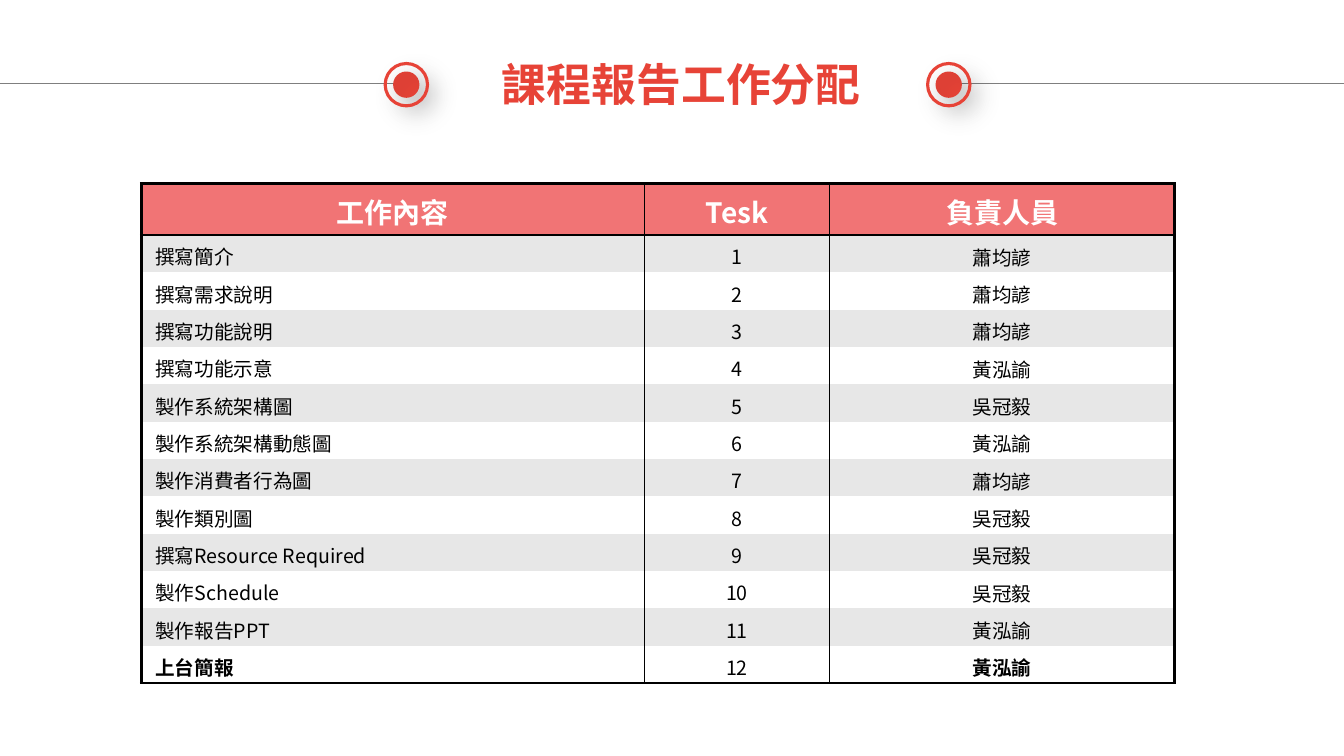
import pptx
import pptx.util
import pptx.oxml
import pptx.oxml.ns
import pptx.dml.color
import pptx.enum.text
import pptx.enum.shapes
import lxml.etree

Inches = pptx.util.Inches
Pt = pptx.util.Pt
qn = pptx.oxml.ns.qn
space = pptx.oxml.ns.nsdecls("a")
align = pptx.enum.text.PP_ALIGN
anchor = pptx.enum.text.MSO_ANCHOR
red = "E74337"
face = "Noto Sans CJK SC"


def color(code):
    return pptx.dml.color.RGBColor.from_string(code)


def write(frame, text, size, code, bold, side):
    para = frame.paragraphs[0]
    para.alignment = side
    run = para.add_run()
    run.text = text
    for key, value in {"size": Pt(size), "bold": bold, "name": face}.items():
        setattr(run.font, key, value)
    run.font.color.rgb = color(code)
    lxml.etree.SubElement(run.font._element, qn("a:ea")).set("typeface", face)


deck = pptx.Presentation()
deck.slide_width = Inches(13.33)
deck.slide_height = Inches(7.5)
slide = deck.slides.add_slide(deck.slide_layouts[6])
shapes = slide.shapes

title = shapes.add_textbox(Inches(4.88), Inches(0.51), Inches(3.79), Inches(0.64))
title.text_frame.word_wrap = False
write(title.text_frame, "課程報告工作分配", 32, red, True, align.LEFT)

shade = (
    f'<a:effectLst {space}><a:outerShdw blurRad="190500" dist="127000" dir="2700000" '
    'algn="tl" rotWithShape="0"><a:srgbClr val="000000"><a:alpha val="26000"/>'
    "</a:srgbClr></a:outerShdw></a:effectLst>"
)
mid = 0.84
for center, start, end in [(9.41, 9.41, 13.33), (4.03, 0, 4.03)]:
    line = shapes.add_connector(
        pptx.enum.shapes.MSO_CONNECTOR.STRAIGHT,
        Inches(start), Inches(0.83), Inches(end), Inches(0.83),
    )
    line.line.color.rgb = color("7F7F7F")
    line.line.width = Pt(0.75)
    lxml.etree.SubElement(line._element.spPr, qn("a:effectLst"))
    for size, solid in [(0.23, True), (0.42, False)]:
        dot = shapes.add_shape(
            pptx.enum.shapes.MSO_SHAPE.OVAL,
            Inches(center - size / 2), Inches(mid - size / 2), Inches(size), Inches(size),
        )
        if solid:
            dot.fill.solid()
            dot.fill.fore_color.rgb = color(red)
        else:
            dot.fill.background()
        dot.line.color.rgb = color(red)
        dot.line.width = Pt(2.25)
        dot._element.spPr.append(pptx.oxml.parse_xml(shade))

tasks = [
    ("撰寫簡介", "蕭均諺"),
    ("撰寫需求說明", "蕭均諺"),
    ("撰寫功能說明", "蕭均諺"),
    ("撰寫功能示意", "黃泓諭"),
    ("製作系統架構圖", "吳冠毅"),
    ("製作系統架構動態圖", "黃泓諭"),
    ("製作消費者行為圖", "蕭均諺"),
    ("製作類別圖", "吳冠毅"),
    ("撰寫Resource Required", "吳冠毅"),
    ("製作Schedule", "吳冠毅"),
    ("製作報告PPT", "黃泓諭"),
    ("上台簡報", "黃泓諭"),
]
rows = [("工作內容", "Tesk", "負責人員")]
rows += [(job, str(num), who) for num, (job, who) in enumerate(tasks, 1)]
last = len(tasks)
head = 0.51
high = 4.96

grid = shapes.add_table(
    len(rows), 3, Inches(1.4), Inches(1.82), Inches(10.25), Inches(high)
).table
for col, width in zip(grid.columns, [4.99, 1.84, 3.42]):
    col.width = Inches(width)

for r, row in enumerate(rows):
    top = r == 0
    grid.rows[r].height = Inches(head if top else (high - head) / last)
    for c, text in enumerate(row):
        cell = grid.cell(r, c)
        form = {
            "margin_left": Inches(0.14),
            "margin_right": Inches(0.14),
            "margin_top": Inches(0.07),
            "margin_bottom": Inches(0.03 if top else 0.01),
            "vertical_anchor": anchor.MIDDLE if top or c == 2 else anchor.TOP,
        }
        for key, value in form.items():
            setattr(cell, key, value)
        cell.fill.solid()
        cell.fill.fore_color.rgb = color("F17475" if top else "E7E7E7" if r % 2 else "FFFFFF")
        write(
            cell.text_frame, text, 20 if top else 14,
            "FFFFFF" if top else "000000",
            top or (r == last and c != 1),
            align.CENTER if top or c else align.LEFT,
        )
        edges = {
            "L": 1 if c else 2.25,
            "R": 2.25 if c == 2 else 1,
            "T": 2 if r < 2 else 0,
            "B": 2 if r in (0, last) else 0,
        }
        for i, (side, width) in enumerate(edges.items()):
            paint = '<a:solidFill><a:srgbClr val="000000"/></a:solidFill>' if width else "<a:noFill/>"
            edge = f'<a:ln{side} {space} w="{int(Pt(width))}">{paint}</a:ln{side}>'
            cell._tc.tcPr.insert(i, pptx.oxml.parse_xml(edge))

deck.save("out.pptx")
